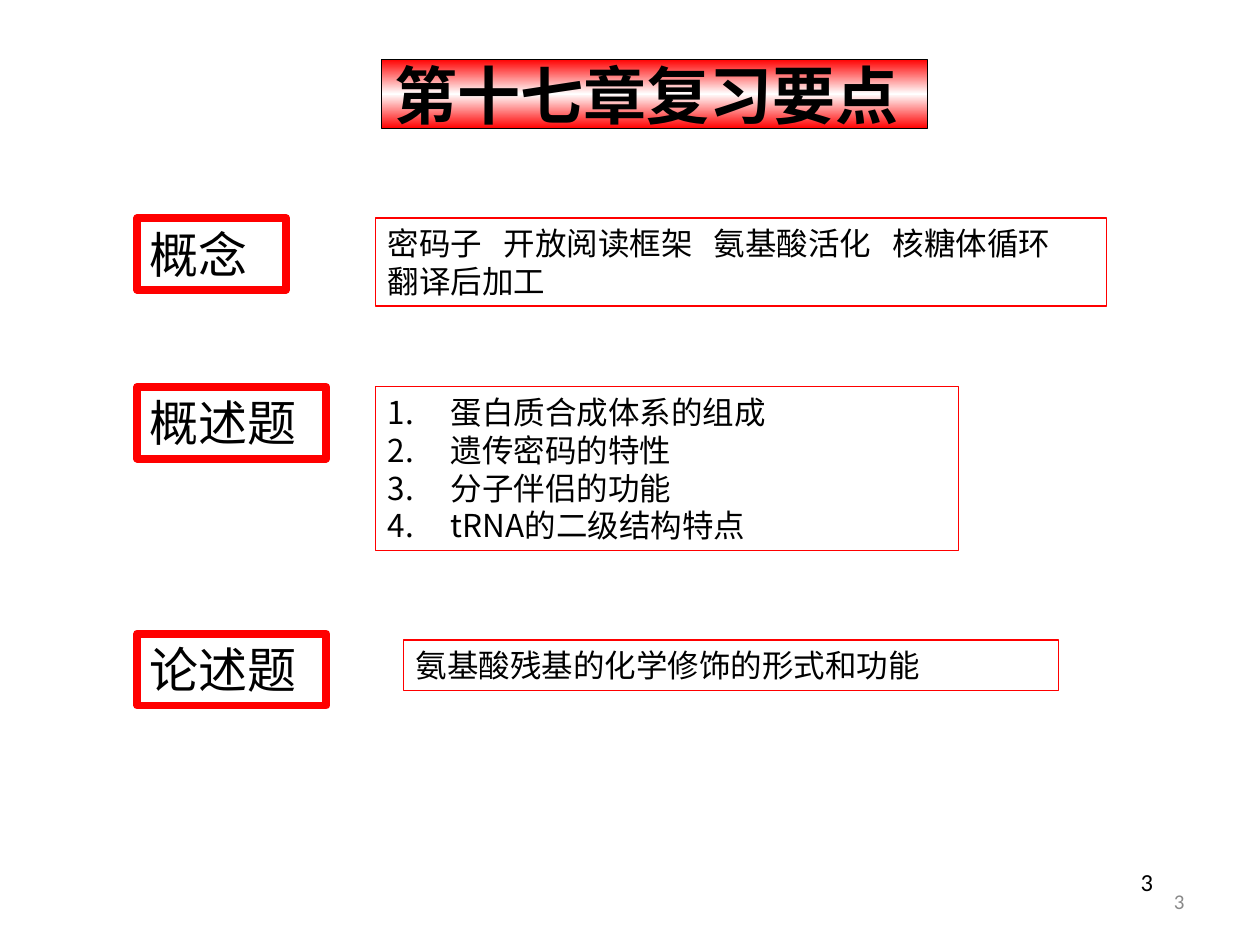
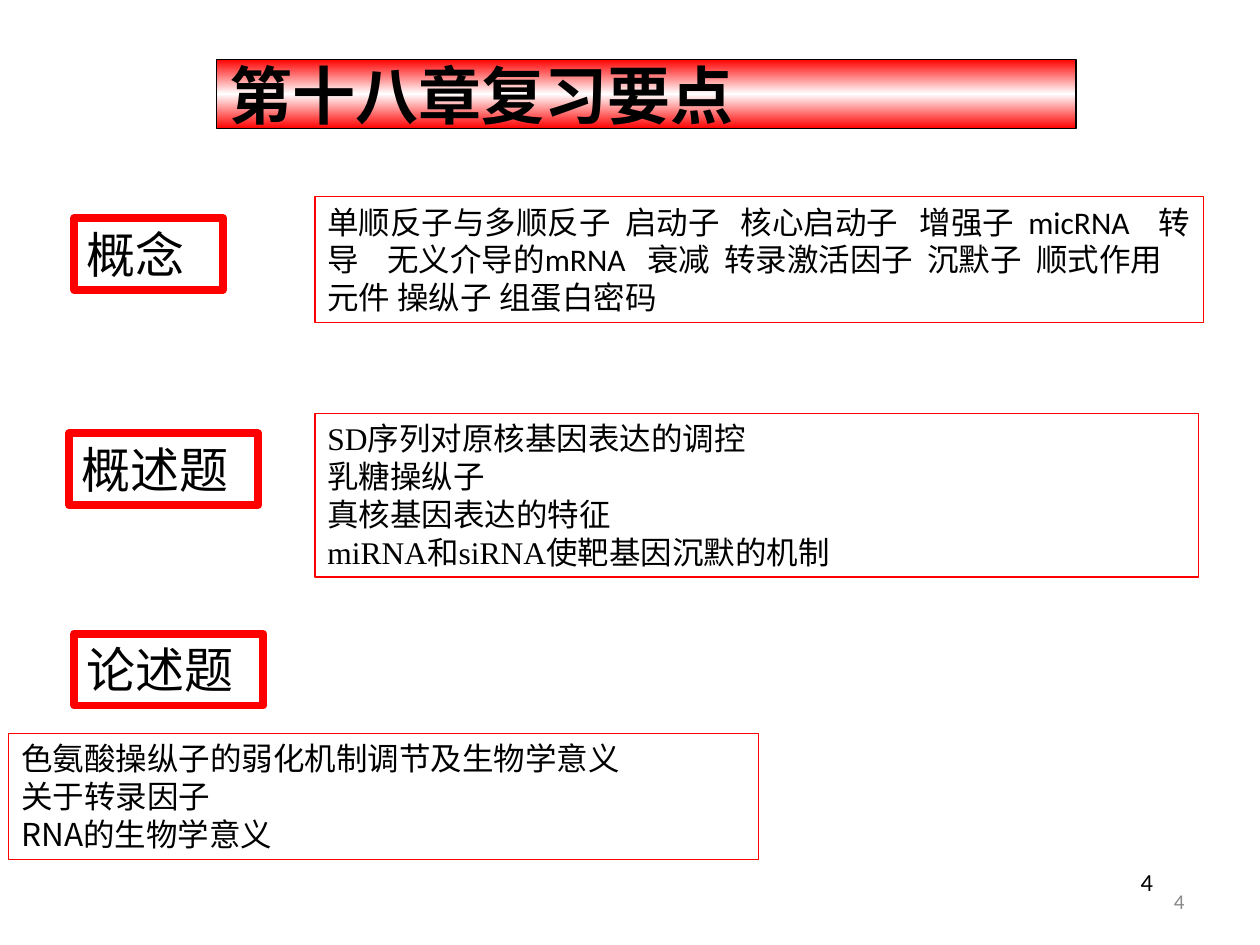
from copy import deepcopy
from dataclasses import dataclass

from lxml import etree
from pptx import Presentation
from pptx.dml.color import RGBColor
from pptx.enum.shapes import MSO_SHAPE
from pptx.enum.text import MSO_ANCHOR, MSO_AUTO_SIZE, PP_ALIGN
from pptx.oxml.ns import qn
from pptx.util import Inches, Pt


@dataclass(frozen=True)
class Theme:
    red: RGBColor = RGBColor(0xFF, 0x00, 0x00)
    white: RGBColor = RGBColor(0xFF, 0xFF, 0xFF)
    black: RGBColor = RGBColor(0x00, 0x00, 0x00)
    grey: RGBColor = RGBColor(0x89, 0x89, 0x89)
    latin: str = "Calibri"
    serif: str = "Times New Roman"
    chinese: str = "Noto Sans CJK SC"
    title_size: int = 36
    label_size: int = 28
    body_size: int = 18
    number_size: int = 14
    footer_size: int = 12
    thin: float = 0.75
    thick: float = 4.5
    line_height: float = 1.2
    space_width: float = 4.07  # points, at body size


class ReviewDeck:
    def __init__(self, theme):
        self.theme = theme
        self.prs = Presentation()
        self.prs.slide_width, self.prs.slide_height = Inches(10), Inches(7.5)
        self.slide = None

    def add_slide(self, title, left, width, number):
        self.slide = self.prs.slides.add_slide(self.prs.slide_layouts[5])
        self.title(title, left, width)
        self.page_number(number, 2.08, 6.83, 0.5, self.theme.number_size,
                         self.theme.black, MSO_ANCHOR.TOP)
        self.page_number(number, 2.33, 6.95, 0.4, self.theme.footer_size,
                         self.theme.grey, MSO_ANCHOR.MIDDLE)

    def format_text(self, frame, size, font, color=None, bold=False,
                    align=PP_ALIGN.LEFT, anchor=MSO_ANCHOR.TOP):
        frame.word_wrap = True
        frame.auto_size = MSO_AUTO_SIZE.NONE
        frame.vertical_anchor = anchor
        frame.margin_left = frame.margin_right = Inches(0.1)
        frame.margin_top = frame.margin_bottom = Inches(0.05)
        for paragraph in frame.paragraphs:
            paragraph.alignment = align
            paragraph.line_spacing = Pt(size * self.theme.line_height)
            for run in paragraph.runs:
                run.font.size, run.font.bold, run.font.name = Pt(size), bold, font
                run.font.color.rgb = color or self.theme.black
                east_asian = etree.Element(qn("a:ea"), typeface=self.theme.chinese)
                run.font._element.find(qn("a:latin")).addnext(east_asian)

    def title(self, text, left, width):
        theme = self.theme
        band = self.slide.shapes.title
        band.left, band.top = Inches(left), Inches(0.47)
        band.width, band.height = Inches(width), Inches(0.55)
        band.fill.gradient()
        band.fill.gradient_angle = 90
        edge, middle = band.fill.gradient_stops
        edge.color.rgb, middle.color.rgb = theme.red, theme.white
        middle.position = 0.5
        stops = band.element.spPr.find(".//" + qn("a:gsLst"))
        far_edge = deepcopy(stops[0])
        far_edge.set("pos", "100000")
        stops.append(far_edge)
        band.line.color.rgb, band.line.width = theme.black, Pt(theme.thin)
        band.text_frame.text = text
        self.format_text(band.text_frame, theme.title_size, theme.latin,
                         bold=True, anchor=MSO_ANCHOR.MIDDLE)

    def page_number(self, number, width, top, height, size, color, anchor):
        box = self.slide.shapes.add_textbox(Inches(7.17), Inches(top),
                                            Inches(width), Inches(height))
        box.text_frame.text = str(number)
        self.format_text(box.text_frame, size, self.theme.latin, color,
                         align=PP_ALIGN.RIGHT, anchor=anchor)

    def frame(self, left, top, width, height, weight):
        """Add an unfilled red rectangle and return its text frame."""
        box = self.slide.shapes.add_shape(MSO_SHAPE.RECTANGLE, Inches(left), Inches(top),
                                          Inches(width), Inches(height))
        box.shadow.inherit = False
        box.fill.background()
        box.line.color.rgb, box.line.width = self.theme.red, Pt(weight)
        return box.text_frame

    def label(self, text, left, top):
        width = 1.18 if len(text) == 2 else 1.5
        frame = self.frame(left, top, width, 0.57, self.theme.thick)
        frame.text = text
        self.format_text(frame, self.theme.label_size, self.theme.latin)

    def questions(self, lines, left, top, width, font=None, numbered=False):
        height = 0.1 + 0.3 * len(lines)
        frame = self.frame(left, top, width, height, self.theme.thin)
        frame.text = "\n".join(lines)
        self.format_text(frame, self.theme.body_size, font or self.theme.chinese)
        if numbered:
            for paragraph in frame.paragraphs:
                properties = paragraph._p.get_or_add_pPr()
                properties.set("marL", str(Inches(0.5)))
                properties.set("indent", str(-Inches(0.5)))
                etree.SubElement(properties, qn("a:buAutoNum"), type="arabicPeriod")

    def concepts(self, terms, gaps, left, top, width, height):
        """Set terms in one paragraph; each gap is a space widened to that many spaces."""
        frame = self.frame(left, top, width, height, self.theme.thin)
        paragraph = frame.paragraphs[0]
        paragraph.add_run().text = terms[0]
        for term, gap in zip(terms[1:], gaps):
            space = paragraph.add_run()
            space.text = " "
            extra = round((gap - 1) * self.theme.space_width * 100)
            space.font._element.set("spc", str(extra))
            paragraph.add_run().text = term
        self.format_text(frame, self.theme.body_size, self.theme.latin)


def chapter_17(deck):
    deck.add_slide("第十七章复习要点", 3.03, 4.33, 3)
    for text, top in (("概念", 1.73), ("概述题", 3.07), ("论述题", 5.03)):
        deck.label(text, 1.09, top)
    deck.concepts(["密码子", "开放阅读框架", "氨基酸活化", "核糖体循环", "翻译后加工"],
                  [3] * 4, 2.98, 1.73, 5.8, 0.7)
    deck.questions(["蛋白质合成体系的组成", "遗传密码的特性", "分子伴侣的功能",
                    "tRNA的二级结构特点"], 2.98, 3.07, 4.63, numbered=True)
    deck.questions(["氨基酸残基的化学修饰的形式和功能"], 3.2, 5.08, 5.2)


def chapter_18(deck):
    deck.add_slide("第十八章复习要点", 1.72, 6.82, 4)
    for text, left, top in (("概念", 0.59, 1.73), ("概述题", 0.55, 3.44),
                            ("论述题", 0.59, 5.03)):
        deck.label(text, left, top)
    deck.concepts(["单顺反子与多顺反子", "启动子", "核心启动子", "增强子", "micRNA", "转导",
                   "无义介导的mRNA", "衰减", "转录激活因子", "沉默子", "顺式作用元件",
                   "操纵子", "组蛋白密码"],
                  [2, 3, 3, 2, 4, 4, 3, 2, 2, 2, 1, 1], 2.5, 1.56, 7.05, 1)
    deck.questions(["SD序列对原核基因表达的调控", "乳糖操纵子", "真核基因表达的特征",
                    "miRNA和siRNA使靶基因沉默的机制"], 2.5, 3.28, 7.01,
                   font=deck.theme.serif)
    deck.questions(["色氨酸操纵子的弱化机制调节及生物学意义", "关于转录因子",
                    "RNA的生物学意义"], 0.07, 5.82, 5.95)


def main():
    deck = ReviewDeck(Theme())
    chapter_17(deck)
    chapter_18(deck)
    deck.prs.save("out.pptx")


if __name__ == "__main__":
    main()
